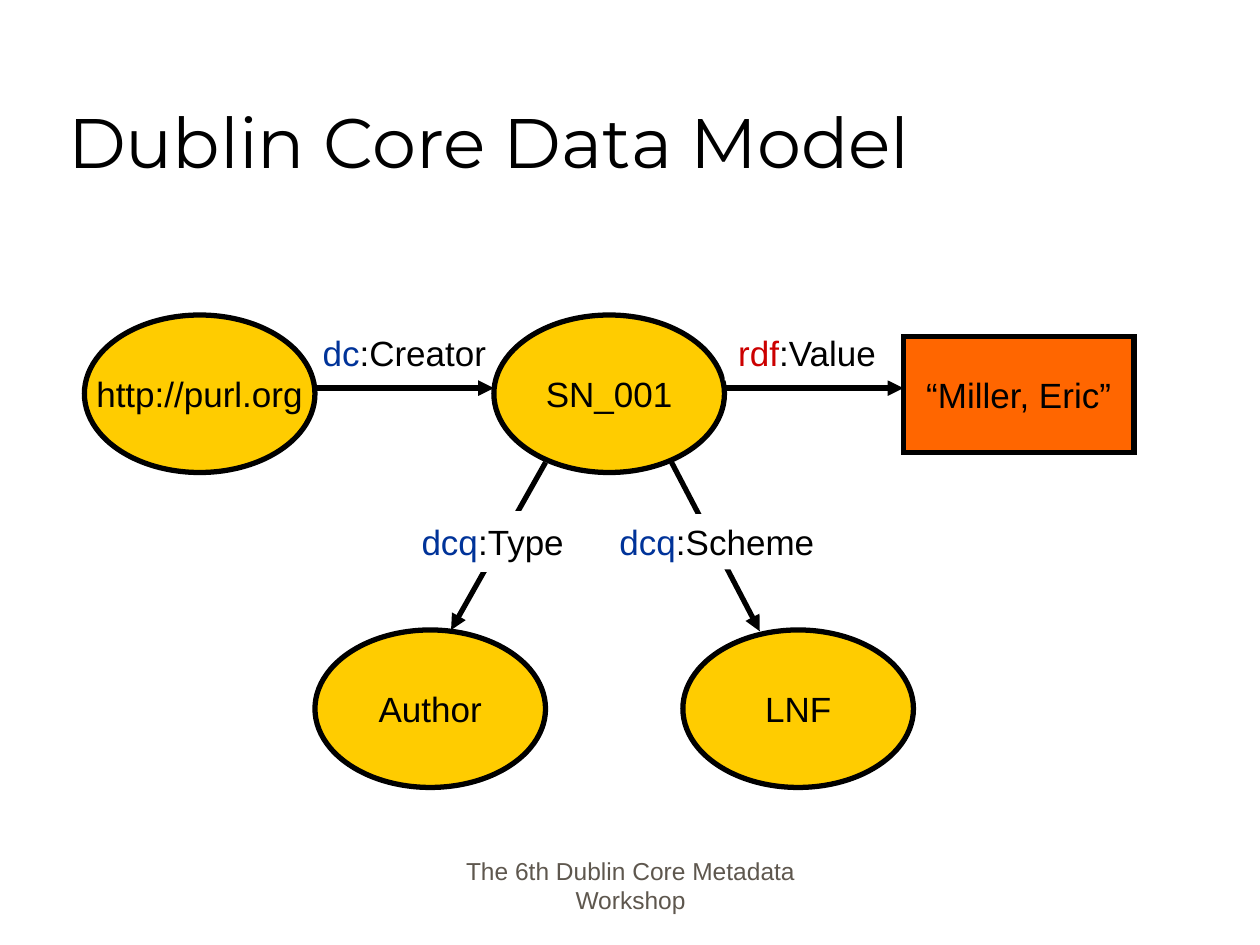
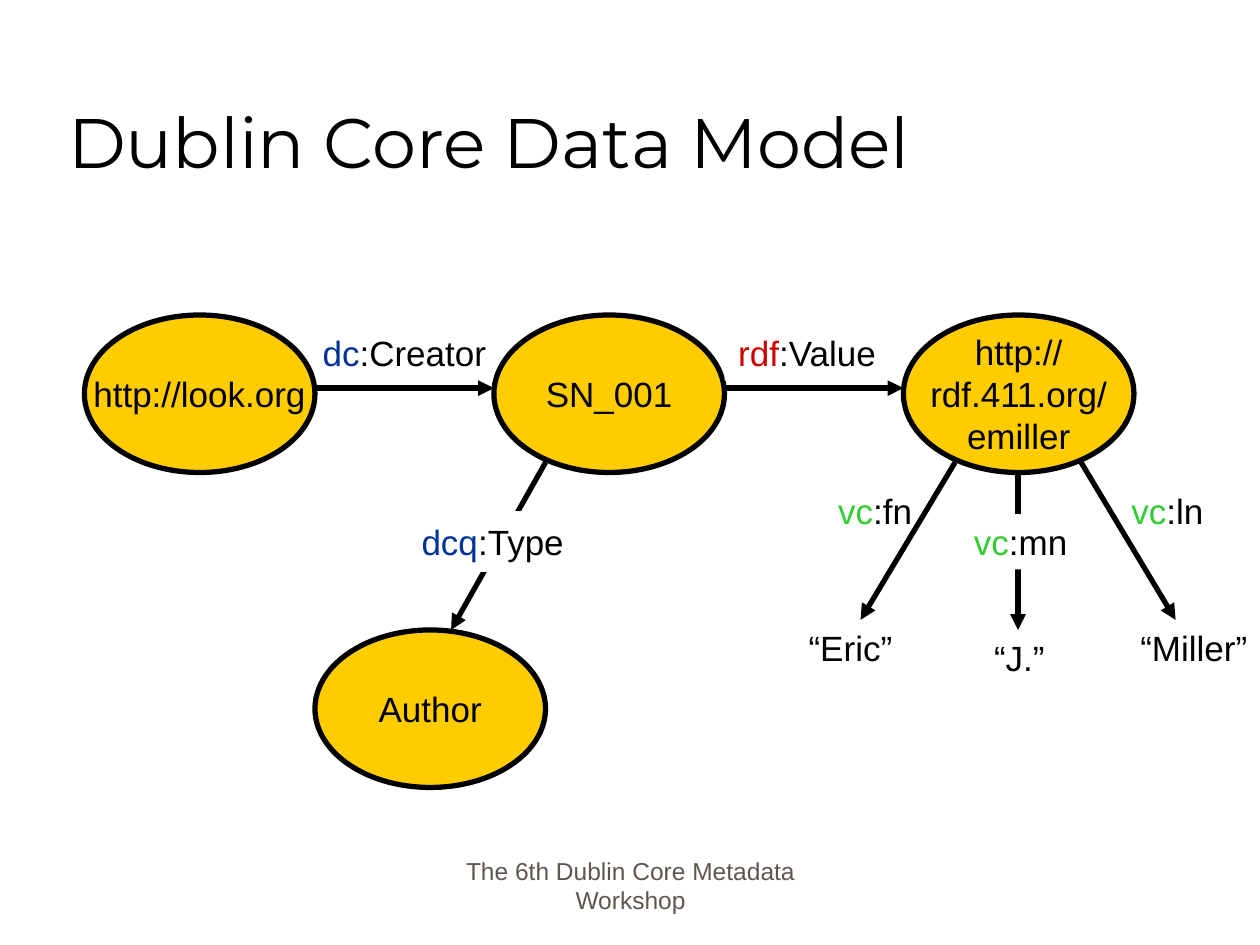
from dataclasses import dataclass

from lxml.etree import SubElement
from pptx import Presentation
from pptx.dml.color import RGBColor
from pptx.enum.shapes import MSO_CONNECTOR, MSO_SHAPE
from pptx.enum.text import MSO_ANCHOR, MSO_AUTO_SIZE, PP_ALIGN
from pptx.oxml.ns import qn
from pptx.util import Inches, Pt


@dataclass(frozen=True)
class Theme:
    ink: str = "000000"
    paper: str = "FFFFFF"
    resource: str = "FFCC00"
    literal: str = "FF6600"
    dublin_core: str = "003399"
    rdf: str = "CC0000"
    vcard: str = "33CC33"
    footer: str = "5E574E"
    title_font: str = "Montserrat"
    body_font: str = "Arial"
    title_size: int = 40
    body_size: int = 20
    footer_size: int = 14
    line_width: int = 3


THEME = Theme()
PREFIX_COLORS = {"dc": THEME.dublin_core, "dcq": THEME.dublin_core,
                 "rdf": THEME.rdf, "vc": THEME.vcard}
TITLE = "Dublin Core Data Model"
FOOTER = "The 6th Dublin Core Metadata Workshop"

NODE_WIDTH, NODE_HEIGHT = 1.83, 1.25
LABEL_HEIGHT = 0.44
COLUMNS = [0.67, 3.92, 7.17]
TOP_ROW, BOTTOM_ROW = 2.5, 5
ARROW_Y = 3.08
BRANCH_Y = 3.67


def write_text(shape, lines, font=THEME.body_font, size=THEME.body_size,
               color=THEME.ink, align=PP_ALIGN.CENTER, anchor=MSO_ANCHOR.MIDDLE,
               wrap=False):
    """Fill a shape with lines, each a list of (text, colour or None) runs."""
    frame = shape.text_frame
    frame.word_wrap = wrap
    frame.auto_size = MSO_AUTO_SIZE.NONE
    frame.vertical_anchor = anchor
    for index, runs in enumerate(lines):
        paragraph = frame.add_paragraph() if index else frame.paragraphs[0]
        paragraph.alignment = align
        for text, run_color in runs:
            run = paragraph.add_run()
            run.text = text
            run.font.name = font
            run.font.size = Pt(size)
            run.font.color.rgb = RGBColor.from_string(run_color or color)


class DiagramSlide:
    def __init__(self, presentation, theme=THEME):
        self.theme = theme
        self.slide = presentation.slides.add_slide(presentation.slide_layouts[5])
        self.add_title()
        self.add_footer()

    def add_title(self):
        title = self.slide.shapes.title
        title.left, title.top = Inches(0.44), Inches(0.25)
        title.width, title.height = Inches(8.5), Inches(1.25)
        write_text(title, [[(TITLE, None)]], font=self.theme.title_font,
                   size=self.theme.title_size, align=PP_ALIGN.LEFT,
                   anchor=MSO_ANCHOR.BOTTOM, wrap=True)

    def add_footer(self):
        box = self.add_box(3.42, 6.81, 3.17, 0.5)
        write_text(box, [[(FOOTER, None)]], size=self.theme.footer_size,
                   color=self.theme.footer, anchor=MSO_ANCHOR.BOTTOM, wrap=True)

    def add_box(self, left, top, width, height):
        return self.slide.shapes.add_textbox(
            Inches(left), Inches(top), Inches(width), Inches(height))

    def set_outline(self, line, color):
        """Colour a line, give it the theme width and sharp corners."""
        line.color.rgb = RGBColor.from_string(color)
        line.width = Pt(self.theme.line_width)
        SubElement(line._get_or_add_ln(), qn("a:miter"), lim="800000")

    def add_filled(self, kind, left, top, width, height, fill, outline=None):
        shape = self.slide.shapes.add_shape(
            kind, Inches(left), Inches(top), Inches(width), Inches(height))
        shape.shadow.inherit = False
        shape.fill.solid()
        shape.fill.fore_color.rgb = RGBColor.from_string(fill)
        if outline:
            self.set_outline(shape.line, outline)
        else:
            shape.line.fill.background()
        return shape

    def add_resource(self, left, top, *lines):
        shape = self.add_filled(MSO_SHAPE.OVAL, left, top, NODE_WIDTH, NODE_HEIGHT,
                                self.theme.resource, self.theme.ink)
        write_text(shape, [[(line, None)] for line in lines])

    def add_literal(self, left, top, text):
        shape = self.add_filled(MSO_SHAPE.RECTANGLE, left, top, NODE_WIDTH, 0.92,
                                self.theme.literal, self.theme.ink)
        write_text(shape, [[(text, None)]])

    def add_arrow(self, start, end):
        connector = self.slide.shapes.add_connector(
            MSO_CONNECTOR.STRAIGHT, *(Inches(value) for value in (*start, *end)))
        self.set_outline(connector.line, self.theme.ink)
        properties = connector.line._get_or_add_ln()
        SubElement(properties, qn("a:tailEnd"), type="triangle")
        SubElement(connector._element.spPr, qn("a:effectLst"))

    def add_property(self, left, top, width, name, filled=True, outline=None):
        """Label an arrow with a prefix:term name, the prefix in its colour."""
        if filled:
            shape = self.add_filled(MSO_SHAPE.RECTANGLE, left, top, width,
                                    LABEL_HEIGHT, self.theme.paper, outline)
        else:
            shape = self.add_box(left, top, width, LABEL_HEIGHT)
        prefix, term = name.split(":")
        write_text(shape, [[(prefix, PREFIX_COLORS[prefix]), (f":{term}", None)]])

    def add_value(self, left, top, width, text):
        box = self.add_box(left, top, width, LABEL_HEIGHT)
        write_text(box, [[(text, None)]])

    def add_creator_graph(self, address):
        """Draw the part of the graph that both slides share."""
        self.add_resource(COLUMNS[0], TOP_ROW, address)
        self.add_resource(COLUMNS[1], TOP_ROW, "SN_001")
        for left, target in zip(COLUMNS, COLUMNS[1:]):
            self.add_arrow((left + NODE_WIDTH, ARROW_Y), (target, ARROW_Y))
        self.add_arrow((4.33, BRANCH_Y), (3.58, BOTTOM_ROW))
        self.add_resource(2.5, BOTTOM_ROW, "Author")
        self.add_property(2.46, 2.58, 1.5, "dc:Creator", filled=False)
        self.add_property(3.24, 4.08, 1.34, "dcq:Type", outline=self.theme.paper)
        self.add_property(5.75, 2.58, 1.31, "rdf:Value")


def build_literal_slide(presentation):
    diagram = DiagramSlide(presentation)
    diagram.add_creator_graph("http://purl.org")
    diagram.add_arrow((5.33, BRANCH_Y), (6.03, 5.01))
    diagram.add_resource(5.42, BOTTOM_ROW, "LNF")
    diagram.add_property(4.82, 4.08, 1.74, "dcq:Scheme")
    diagram.add_literal(COLUMNS[2], 2.67, "“Miller, Eric”")


def build_vcard_slide(presentation):
    diagram = DiagramSlide(presentation)
    diagram.add_creator_graph("http://look.org")
    diagram.add_resource(COLUMNS[2], TOP_ROW, "http://", "rdf.411.org/", "emiller")
    center = 8.08
    for side in (-1, 1):
        diagram.add_arrow((center + side * 0.5, BRANCH_Y),
                          (center + side * 1.25, 4.92))
    diagram.add_arrow((center, TOP_ROW + NODE_HEIGHT), (center, BOTTOM_ROW))
    diagram.add_property(6.55, 3.83, 0.79, "vc:fn", filled=False)
    diagram.add_property(7.63, 4.08, 0.94, "vc:mn")
    diagram.add_property(8.88, 3.83, 0.77, "vc:ln", filled=False)
    diagram.add_value(6.32, 4.92, 0.86, "“Eric”")
    diagram.add_value(7.79, 5, 0.6, "“J.”")
    diagram.add_value(8.95, 4.92, 1.05, "“Miller”")


def main():
    presentation = Presentation()
    presentation.slide_width, presentation.slide_height = Inches(10), Inches(7.5)
    build_literal_slide(presentation)
    build_vcard_slide(presentation)
    presentation.save("out.pptx")


if __name__ == "__main__":
    main()
